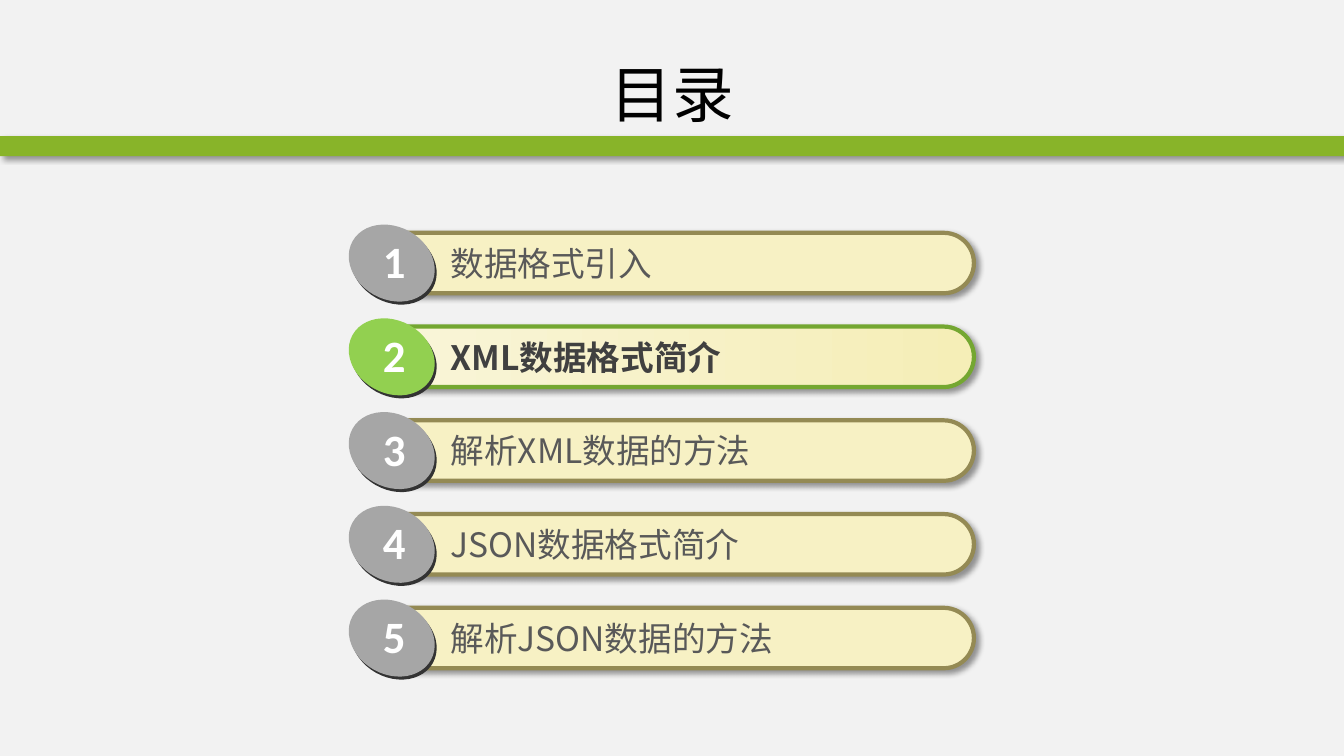
from dataclasses import dataclass

from lxml import etree
from pptx import Presentation
from pptx.dml.color import RGBColor
from pptx.enum.shapes import MSO_SHAPE
from pptx.enum.text import MSO_ANCHOR, MSO_AUTO_SIZE, PP_ALIGN
from pptx.oxml.ns import qn
from pptx.shapes.autoshape import Shape
from pptx.shapes.group import GroupShape
from pptx.text.text import TextFrame
from pptx.util import Emu, Pt

RECT, ROUND, OVAL = MSO_SHAPE.RECTANGLE, MSO_SHAPE.ROUNDED_RECTANGLE, MSO_SHAPE.OVAL
MIDDLE, CENTER, LEFT = MSO_ANCHOR.MIDDLE, PP_ALIGN.CENTER, PP_ALIGN.LEFT
FIT = MSO_AUTO_SIZE.SHAPE_TO_FIT_TEXT

PX = 9144  # 100 px to the inch
SANS, LATIN = "Noto Sans CJK SC", "Calibri"

PAPER = RGBColor(0xF2, 0xF2, 0xF2)
BAND = RGBColor(0x88, 0xB4, 0x29)
CREAM = RGBColor(0xF7, 0xF1, 0xC4)
PALE = RGBColor(0xF9, 0xF5, 0xD9)
SAND = RGBColor(0xF5, 0xEE, 0xB7)
OLIVE = RGBColor(0x94, 0x8A, 0x54)
LEAF = RGBColor(0x74, 0xA7, 0x31)
LIME = RGBColor(0x92, 0xD0, 0x50)
GREY = RGBColor(0xA6, 0xA6, 0xA6)
DARK = RGBColor(0x33, 0x33, 0x33)
SOFT = RGBColor(0x59, 0x59, 0x59)
STRONG = RGBColor(0x40, 0x40, 0x40)
BLACK = RGBColor(0, 0, 0)
WHITE = RGBColor(0xFF, 0xFF, 0xFF)

TOP, PITCH = 231, 93


@dataclass(frozen=True)
class Look:
    fill: tuple[RGBColor, ...]
    edge: RGBColor
    badge: RGBColor
    ink: RGBColor
    bold: bool


@dataclass(frozen=True)
class Item:
    label: str
    look: Look


PLAIN = Look((CREAM,), OLIVE, GREY, SOFT, False)
ACTIVE = Look((PALE, SAND), LEAF, LIME, STRONG, True)
ITEMS = [
    Item("数据格式引入", PLAIN),
    Item("XML数据格式简介", ACTIVE),
    Item("解析XML数据的方法", PLAIN),
    Item("JSON数据格式简介", PLAIN),
    Item("解析JSON数据的方法", PLAIN),
]


def px(*sizes: int) -> list[Emu]:
    return [Emu(size * PX) for size in sizes]


def paint(shape: Shape, colors: tuple[RGBColor, ...]) -> None:
    """Fill with one colour, or with a gradient from left to right."""
    if len(colors) == 1:
        shape.fill.solid()
        shape.fill.fore_color.rgb = colors[0]
        return
    shape.fill.gradient()
    shape.fill.gradient_angle = 0
    for stop, color in zip(shape.fill.gradient_stops, colors):
        stop.color.rgb = color


def add_form(shapes, kind: MSO_SHAPE, box: tuple[int, ...], *colors: RGBColor) -> Shape:
    shape = shapes.add_shape(kind, *px(*box))
    shape.shadow.inherit = False
    paint(shape, colors)
    shape.line.fill.background()
    return shape


def cast(shape: Shape) -> None:
    """Give the shape a soft shadow to the lower right."""
    effects = shape._element.spPr.find(qn("a:effectLst"))
    outer = etree.SubElement(effects, qn("a:outerShdw"), blurRad=str(Pt(4)),
                             dist=str(Pt(3)), dir="2700000", algn="tl", rotWithShape="0")
    color = etree.SubElement(outer, qn("a:srgbClr"), val="000000")
    etree.SubElement(color, qn("a:alpha"), val="40000")


def write(frame: TextFrame, text: str, size: int, face: str, color: RGBColor,
          bold: bool = False, align: PP_ALIGN = LEFT) -> None:
    line = frame.paragraphs[0]
    line.alignment = align
    run = line.add_run()
    run.text = text
    font = run.font
    font.size, font.name, font.bold = Pt(size), face, bold
    font.color.rgb = color
    etree.SubElement(run._r.get_or_add_rPr(), qn("a:ea"), typeface=face)


def add_text(group: GroupShape, box: tuple[int, ...], wrap: bool) -> TextFrame:
    frame = group.shapes.add_textbox(*px(*box)).text_frame
    frame.word_wrap = wrap
    frame.auto_size = FIT
    return frame


def add_item(slide, index: int, item: Item) -> None:
    look, top = item.look, TOP + index * PITCH
    group = slide.shapes.add_group_shape()
    bar = add_form(group.shapes, ROUND, (366, top, 600, 60), *look.fill)
    bar.adjustments[0] = 0.5
    bar.line.color.rgb = look.edge
    bar.line.width = Pt(3)
    cast(bar)
    label = add_text(group, (437, top + 5, 509, 51), True)
    write(label, item.label, 24, SANS, look.ink, look.bold)
    for left, rise, color in ((346, 3, DARK), (344, 6, look.badge)):
        disc = add_form(group.shapes, OVAL, (left, top - rise, 89, 72), color)
        disc.rotation = 29.3
    number = add_text(group, (370, top - 4, 43, 64), False)
    write(number, str(index + 1), 32, LATIN, WHITE, True)


def main() -> None:
    deck = Presentation()
    deck.slide_width, deck.slide_height = px(1333, 750)
    slide = deck.slides.add_slide(deck.slide_layouts[5])
    slide.background.fill.solid()
    slide.background.fill.fore_color.rgb = PAPER

    title = slide.shapes.title
    title.left, title.top, title.width, title.height = px(67, 30, 1200, 125)
    title.text_frame.vertical_anchor = MIDDLE
    write(title.text_frame, "目录", 44, SANS, BLACK, align=CENTER)

    cast(add_form(slide.shapes, RECT, (0, 135, 1333, 20), BAND))
    for index, item in enumerate(ITEMS):
        add_item(slide, index, item)
    deck.save("out.pptx")


if __name__ == "__main__":
    main()
